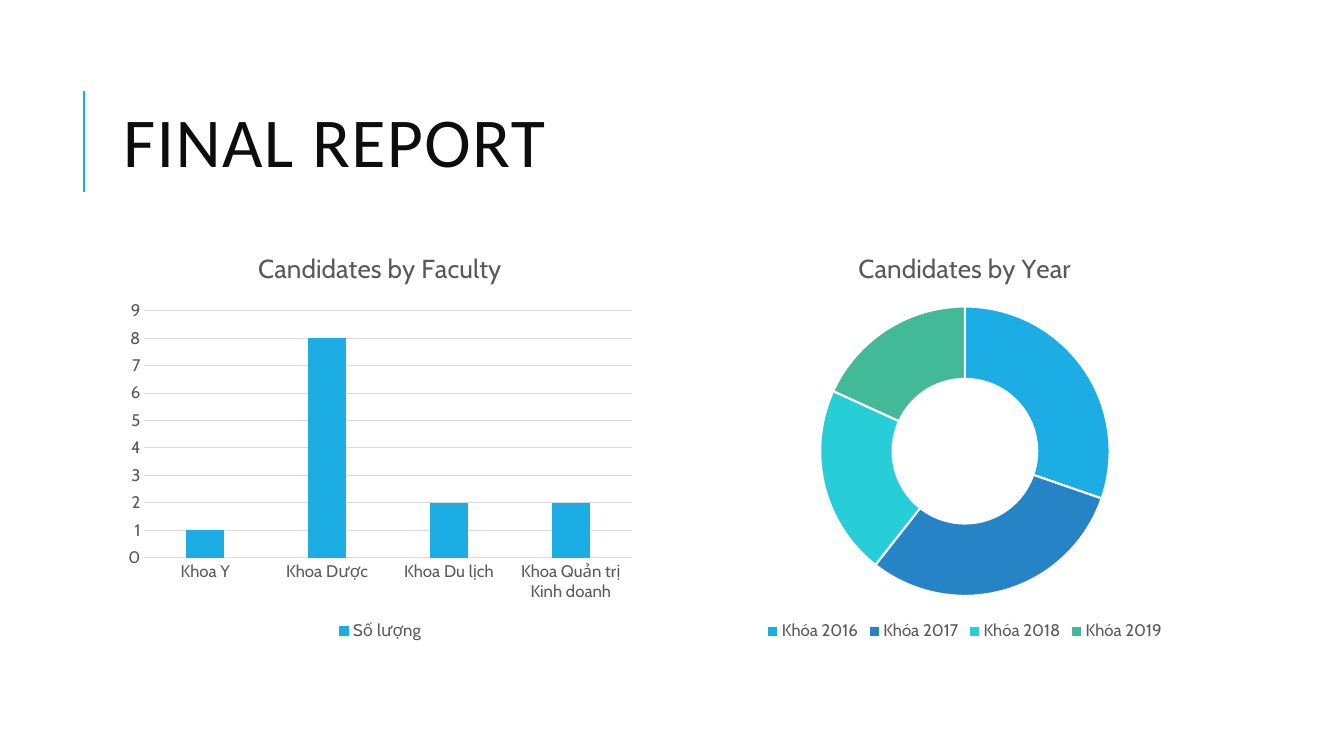
from lxml import etree
from pptx import Presentation
from pptx.chart.data import CategoryChartData
from pptx.dml.color import RGBColor
from pptx.enum import chart as ch, shapes, text
from pptx.oxml.ns import qn
from pptx.util import Inches, Pt

GREY, RULE, BLUE = "595959", "D9D9D9", "1CADE4"


def rgb(value):
    return RGBColor.from_string(value)


def style_font(font, name, size, color):
    font.name, font.size, font.bold = name, Pt(size), False
    font.color.rgb = rgb(color)


presentation = Presentation()
presentation.slide_width, presentation.slide_height = Inches(13.33), Inches(7.5)
slide = presentation.slides.add_slide(presentation.slide_layouts[5])

# Title with accent line
accent = slide.shapes.add_connector(
    shapes.MSO_CONNECTOR.STRAIGHT, Inches(0.83), Inches(1.9), Inches(0.83), Inches(0.9))
accent.line.color.rgb = rgb(BLUE)
accent.line.width = Pt(1.5)
etree.SubElement(accent._element.spPr, qn("a:effectLst"))

title = slide.shapes.title
title.left, title.top, title.width, title.height = map(Inches, (1.12, 0.64, 10.63, 1.64))
frame = title.text_frame
frame.text = "FINAL REPORT"
frame.auto_size = text.MSO_AUTO_SIZE.NONE
frame.vertical_anchor = text.MSO_ANCHOR.MIDDLE
paragraph = frame.paragraphs[0]
paragraph.alignment = text.PP_ALIGN.LEFT
paragraph.line_spacing = 0.8
style_font(paragraph.font, "Calibri", 50, "0D0D0D")
paragraph.runs[0].font._element.set("spc", "100")

# Charts: type, left, title, categories, series name, values
chart_specs = [
    (ch.XL_CHART_TYPE.COLUMN_CLUSTERED, 1.17, "Candidates by Faculty",
     ["Khoa Y", "Khoa Dược", "Khoa Du lịch", "Khoa Quản trị Kinh doanh"],
     "Số lượng", [1, 8, 2, 2]),
    (ch.XL_CHART_TYPE.DOUGHNUT, 6.97, "Candidates by Year",
     ["Khóa 2016", "Khóa 2017", "Khóa 2018", "Khóa 2019"],
     "Series 1", [30, 30, 21, 18]),
]
charts = []
for kind, left, heading, categories, series_name, values in chart_specs:
    data = CategoryChartData()
    data.categories = categories
    data.add_series(series_name, values)
    chart = slide.shapes.add_chart(
        kind, Inches(left), Inches(2.3), Inches(5.2), Inches(4.1), data).chart
    style_font(chart.font, "Cabin", 10, "000000")
    chart.has_title = True
    chart.chart_title.include_in_layout = False
    heading_frame = chart.chart_title.text_frame
    heading_frame.text = heading
    style_font(heading_frame.paragraphs[0].font, "Cabin", 18.6, GREY)
    chart.has_legend = True
    chart.legend.position = ch.XL_LEGEND_POSITION.BOTTOM
    chart.legend.include_in_layout = False
    style_font(chart.legend.font, "Cabin", 12, GREY)
    charts.append(chart)
faculty_chart, year_chart = charts

# Columns by faculty
columns = faculty_chart.plots[0]
columns.vary_by_categories = False
columns.gap_width, columns.overlap = 219, -27
columns.series[0].format.fill.solid()
columns.series[0].format.fill.fore_color.rgb = rgb(BLUE)
category_axis, value_axis = faculty_chart.category_axis, faculty_chart.value_axis
for axis in (category_axis, value_axis):
    axis.major_tick_mark = axis.minor_tick_mark = ch.XL_TICK_MARK.NONE
    style_font(axis.tick_labels.font, "Cabin", 12, GREY)
value_axis.minimum_scale, value_axis.maximum_scale, value_axis.major_unit = 0, 9, 1
value_axis.format.line.fill.background()
for line in (category_axis.format.line, value_axis.major_gridlines.format.line):
    line.color.rgb = rgb(RULE)
    line.width = Pt(0.75)

# Ring by year
ring = year_chart.plots[0]
ring.vary_by_categories = True
ring._element.find(qn("c:holeSize")).set("val", "75")
for index, color in enumerate([BLUE, "2683C6", "27CED7", "42BA97"]):
    segment = ring.series[0].points[index].format
    segment.fill.solid()
    segment.fill.fore_color.rgb = rgb(color)
    segment.line.color.rgb = rgb("FFFFFF")
    segment.line.width = Pt(1.5)

presentation.save("out.pptx")
